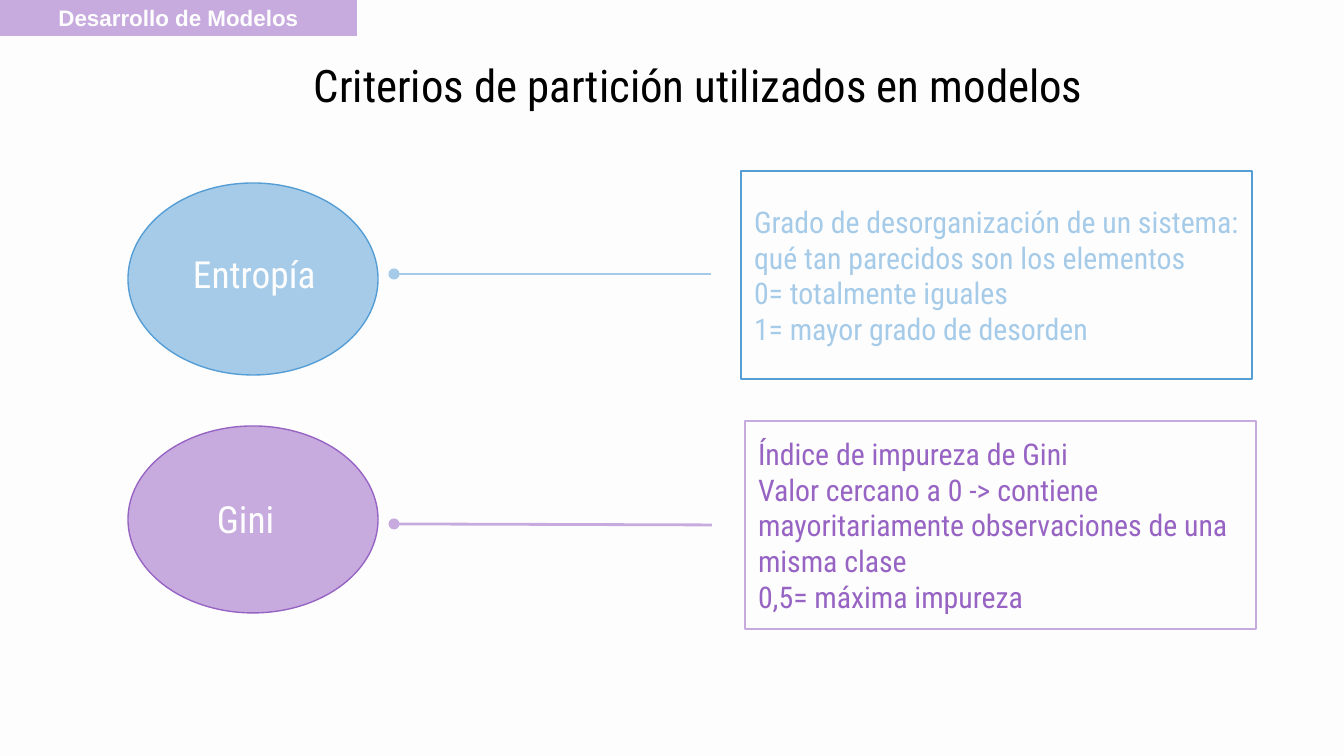
from pptx import Presentation
from pptx.dml.color import RGBColor as Rgb
from pptx.enum.shapes import MSO_CONNECTOR as Conn, MSO_SHAPE as Shape
from pptx.enum.text import MSO_ANCHOR as Anchor, PP_ALIGN as Align
from pptx.oxml.ns import qn
from pptx.util import Pt
from lxml.etree import SubElement

PX = 914400 / 134.4
WIDTH, HEIGHT = 1344, 756
INSET = 13

PAPER = Rgb(0xFD, 0xFD, 0xFD)
BLACK = Rgb(0, 0, 0)
SKY = Rgb(0xA5, 0xCB, 0xE9)
BLUE = Rgb(0x55, 0x9D, 0xD5)
LILAC = Rgb(0xC7, 0xAB, 0xDF)
PURPLE = Rgb(0x97, 0x64, 0xC4)
ROBOTO = "Roboto Condensed"

BANNER = "Desarrollo de Modelos"
TITLE = "Criterios de partición utilizados en modelos"
ROWS = [
    {
        "name": "Entropía",
        "notes": [
            "Grado de desorganización de un sistema: qué tan parecidos son los elementos",
            "0= totalmente iguales",
            "1= mayor grado de desorden",
        ],
        "fill": SKY, "edge": BLUE, "frame": BLUE, "ink": SKY,
        "oval": (128, 183, 250, 192), "label": (180, 238, 156, 71),
        "link": (394, 274, 711, 274), "box": (741, 171, 511, 208),
    },
    {
        "name": "Gini",
        "notes": [
            "Índice de impureza de Gini",
            "Valor cercano a 0 -> contiene mayoritariamente observaciones de una misma clase",
            "0,5= máxima impureza",
        ],
        "fill": LILAC, "edge": PURPLE, "frame": LILAC, "ink": PURPLE,
        "oval": (128, 426, 250, 187), "label": (204, 482, 113, 73),
        "link": (394, 524, 712, 525), "box": (745, 421, 511, 208),
    },
]


def emu(places):
    return [round(n * PX) for n in places]


def add_form(slide, kind, place, fill=None, edge=None):
    form = slide.shapes.add_shape(kind, *emu(place))
    form.shadow.inherit = False
    for part, color in ((form.fill, fill), (form.line.fill, edge)):
        if color is None:
            part.background()
        else:
            part.solid()
            part.fore_color.rgb = color
    if edge is not None:
        form.line.width = Pt(0.75)
    return form


def write(form, lines, size, color, name=ROBOTO, bold=False, align=Align.LEFT):
    frame = form.text_frame
    frame.word_wrap = True
    frame.vertical_anchor = Anchor.MIDDLE
    for side in ("left", "top", "right", "bottom"):
        setattr(frame, f"margin_{side}", round(INSET * PX))
    style = {"size": Pt(size), "name": name, "bold": bold}
    for i, line in enumerate(lines):
        para = frame.add_paragraph() if i else frame.paragraphs[0]
        para.alignment = align
        run = para.add_run()
        run.text = line
        for key, value in style.items():
            setattr(run.font, key, value)
        run.font.color.rgb = color


def add_link(slide, ends, color):
    """Draw a line that starts with a round dot."""
    link = slide.shapes.add_connector(Conn.STRAIGHT, *emu(ends))
    link.line.color.rgb = color
    link.line.width = Pt(1.5)
    SubElement(link.line._get_or_add_ln(), qn("a:headEnd"), type="oval")
    SubElement(link._element.spPr, qn("a:effectLst"))


def main():
    deck = Presentation()
    deck.slide_width, deck.slide_height = emu((WIDTH, HEIGHT))
    slide = deck.slides.add_slide(deck.slide_layouts[6])
    back = slide.background.fill
    back.solid()
    back.fore_color.rgb = PAPER

    title = slide.shapes.add_textbox(*emu((93, 67, 1211, 36)))
    write(title, [TITLE], 24, BLACK, align=Align.CENTER)

    for row in ROWS:
        add_form(slide, Shape.OVAL, row["oval"], row["fill"], row["edge"])
        label = slide.shapes.add_textbox(*emu(row["label"]))
        write(label, [row["name"]], 20, PAPER)
        add_link(slide, row["link"], row["fill"])
        box = add_form(slide, Shape.RECTANGLE, row["box"], edge=row["frame"])
        write(box, row["notes"], 16, row["ink"])

    banner = add_form(slide, Shape.RECTANGLE, (0, 0, 357, 36), LILAC)
    write(banner, [BANNER], 12, PAPER, "Arial", True, Align.CENTER)
    deck.save("out.pptx")


if __name__ == "__main__":
    main()
